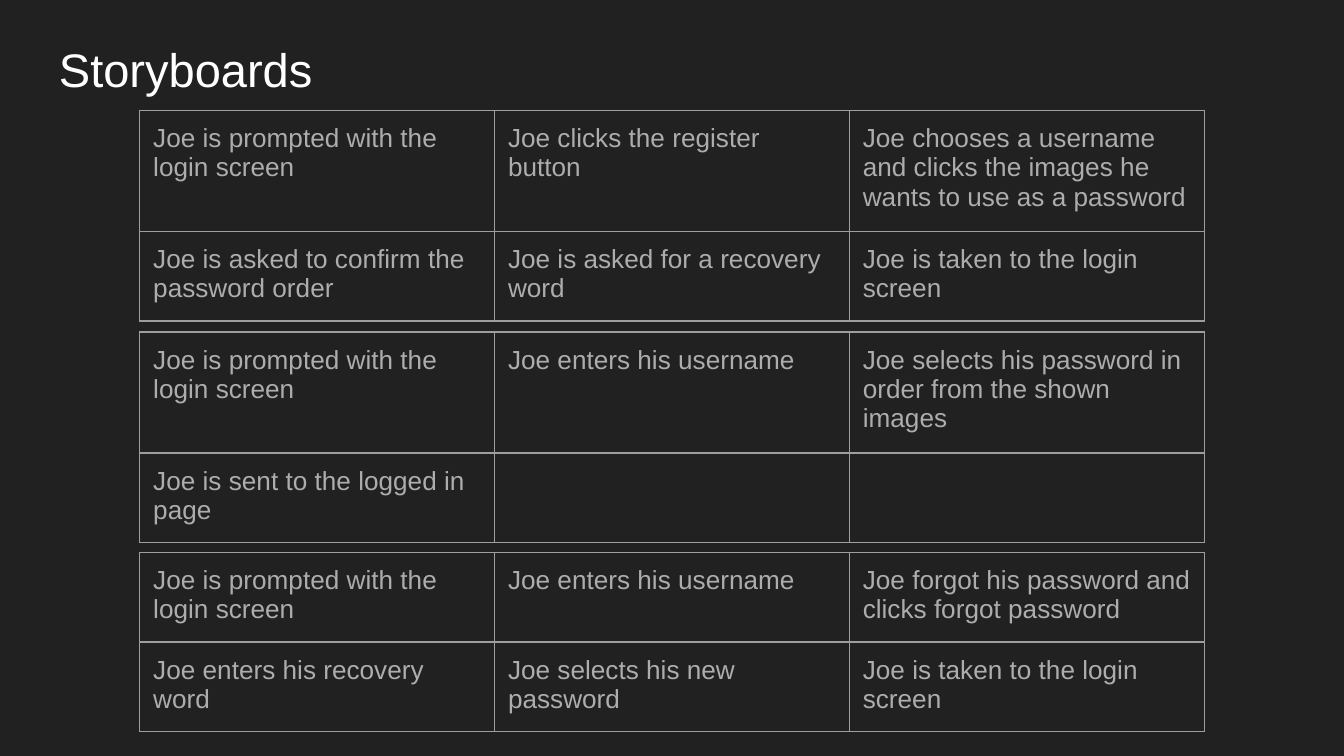
"""Build the Storyboards slide: three step-by-step tables under a title."""
from lxml import etree
from pptx import Presentation, util as u
from pptx.dml.color import RGBColor
from pptx.enum import text
from pptx.oxml import ns

TITLE = "Storyboards"
STORYBOARDS = [
    (0.82, [["Joe is prompted with the login screen",
             "Joe clicks the register button",
             "Joe chooses a username and clicks the images he wants to use as a password"],
            ["Joe is asked to confirm the password order",
             "Joe is asked for a recovery word",
             "Joe is taken to the login screen"]]),
    (2.47, [["Joe is prompted with the login screen",
             "Joe enters his username",
             "Joe selects his password in order from the shown images"],
            ["Joe is sent to the logged in page", "", ""]]),
    (4.11, [["Joe is prompted with the login screen",
             "Joe enters his username",
             "Joe forgot his password and clicks forgot password"],
            ["Joe enters his recovery word",
             "Joe selects his new password",
             "Joe is taken to the login screen"]]),
]

BACKGROUND = RGBColor(0x21, 0x21, 0x21)
WHITE = RGBColor(0xFF, 0xFF, 0xFF)
STEP_GREY = RGBColor(0xAD, 0xAD, 0xAD)
BORDER_GREY = RGBColor(0x9E, 0x9E, 0x9E)
FONT = "Arial"
WIDTH = u.Inches(10)
HEIGHT = WIDTH * 9 // 16
LEFT, FRAME = u.Inches(1.04), u.Inches(3.28)
COLUMN, ROW = u.Inches(2.64), u.Inches(0.42)
INSET = u.Inches(0.1)


def style(paragraph, size, color):
    for run in paragraph.runs:
        run.font.name = FONT
        run.font.size = u.Pt(size)
        run.font.color.rgb = color


def set_insets(holder):
    holder.margin_left = holder.margin_right = INSET
    holder.margin_top = holder.margin_bottom = INSET


def add_borders(cell):
    properties = cell._tc.get_or_add_tcPr()
    for side in ("a:lnL", "a:lnR", "a:lnT", "a:lnB"):
        line = etree.SubElement(properties, ns.qn(side), w=str(u.Pt(0.75)))
        fill = etree.SubElement(line, ns.qn("a:solidFill"))
        etree.SubElement(fill, ns.qn("a:srgbClr"), val=str(BORDER_GREY))


def add_title(slide):
    heading = slide.shapes.add_textbox(
        u.Inches(0.34), u.Inches(0.2), u.Inches(9.32), u.Inches(0.63))
    frame = heading.text_frame
    frame.word_wrap = True
    frame.vertical_anchor = text.MSO_ANCHOR.MIDDLE
    set_insets(frame)
    frame.text = TITLE
    style(frame.paragraphs[0], 25.2, WHITE)


def add_storyboard(slide, top, steps):
    holder = slide.shapes.add_table(
        len(steps), len(steps[0]), LEFT, u.Inches(top), FRAME, FRAME)
    storyboard = holder.table
    storyboard.first_row = storyboard.horz_banding = False
    for column in storyboard.columns:
        column.width = COLUMN
    for row in storyboard.rows:
        row.height = ROW
    holder.width = holder.height = FRAME
    for r, row in enumerate(steps):
        for c, step in enumerate(row):
            cell = storyboard.cell(r, c)
            set_insets(cell)
            add_borders(cell)
            cell.fill.background()
            cell.text = step
            style(cell.text_frame.paragraphs[0], 14, STEP_GREY)


def main():
    deck = Presentation()
    deck.slide_width, deck.slide_height = WIDTH, HEIGHT
    slide = deck.slides.add_slide(deck.slide_layouts[6])
    slide.background.fill.solid()
    slide.background.fill.fore_color.rgb = BACKGROUND
    add_title(slide)
    for top, steps in STORYBOARDS:
        add_storyboard(slide, top, steps)
    deck.save("out.pptx")


if __name__ == "__main__":
    main()
